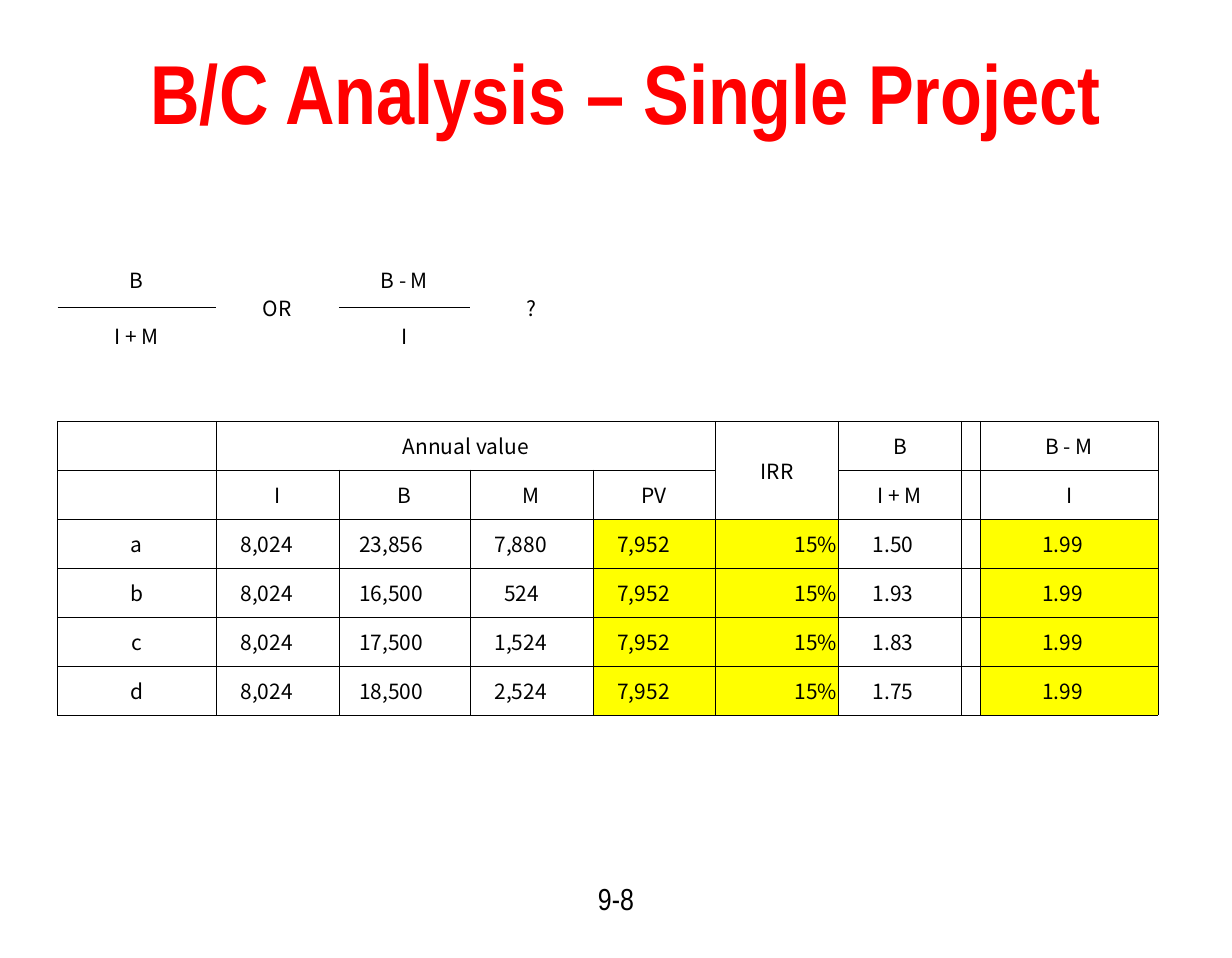
import pptx
import pptx.util
import pptx.dml.color
import pptx.enum.text
import pptx.oxml
import pptx.oxml.ns

Inches, Pt = pptx.util.Inches, pptx.util.Pt
ALIGN = pptx.enum.text.PP_ALIGN
MIDDLE = pptx.enum.text.MSO_ANCHOR.MIDDLE

BLACK = pptx.dml.color.RGBColor(0x00, 0x00, 0x00)
RED = pptx.dml.color.RGBColor(0xFF, 0x00, 0x00)
YELLOW = pptx.dml.color.RGBColor(0xFF, 0xFF, 0x00)

TITLE_FONT = "Arial Narrow"
TABLE_FONT = "Noto Sans CJK KR"

COLUMNS = [1.16, 0.9, 0.96, 0.9, 0.9, 0.9, 0.9, 0.14, 1.3]
ROWS = [
    # The two ratios in question
    ["B", "OR", "B - M", "?", "", "", "", "", ""],
    ["I + M", "", "I", "", "", "", "", "", ""],
    [""] * 9,
    # Headings
    ["", "Annual value", "", "", "", "IRR", "B", "", "B - M"],
    ["", "I", "B", "M", "PV", "", "I + M", "", "I"],
    # Projects
    ["a", "8,024", "23,856", "7,880", "7,952", "15%", "1.50", "", "1.99"],
    ["b", "8,024", "16,500", "524", "7,952", "15%", "1.93", "", "1.99"],
    ["c", "8,024", "17,500", "1,524", "7,952", "15%", "1.83", "", "1.99"],
    ["d", "8,024", "18,500", "2,524", "7,952", "15%", "1.75", "", "1.99"],
    [""] * 9,
]
MERGES = [((0, 1), (1, 1)), ((0, 3), (1, 3)), ((3, 1), (3, 4)), ((3, 5), (4, 5))]
GRID_TOP, FIRST_PROJECT, GRID_END = 3, 5, 9
ROW_SHARES = [1.16] * GRID_TOP + [1] * (GRID_END - GRID_TOP) + [1.16]
FRACTION_COLUMNS = (0, 2)
PERCENT_COLUMN = 5
YELLOW_COLUMNS = (4, 5, 8)
AMOUNT_INDENT = {3: 0.24, 5: 0.17, 6: 0.14}  # by length of the amount
RATIO_INDENT = {6: 0.24, 8: 0.44}  # by column


def add_run(p, text, font, size, color, bold=False):
    r = p.add_run()
    r.text = text
    r.font.name = font
    r.font.size = Pt(size)
    r.font.bold = bold
    r.font.color.rgb = color


def add_line_of_text(s, box, text, size, color, bold=False, anchor=None):
    tf = s.shapes.add_textbox(*map(Inches, box)).text_frame
    tf.word_wrap = True
    tf.margin_left = tf.margin_right = Inches(0.09)
    tf.vertical_anchor = anchor
    p = tf.paragraphs[0]
    p.alignment = ALIGN.CENTER
    add_run(p, text, TITLE_FONT, size, color, bold)


def cell_sides(row, col):
    """Sides of a cell that carry a line."""
    if GRID_TOP <= row < GRID_END:
        return "LRTB"
    if row == GRID_TOP - 1 or (row == 0 and col in FRACTION_COLUMNS):
        return "B"
    if row == GRID_END or (row == 1 and col in FRACTION_COLUMNS):
        return "T"
    return ""


def set_borders(cell, sides):
    tcPr = cell._tc.get_or_add_tcPr()
    ns = pptx.oxml.ns.nsdecls("a")
    for side in "LRTB":
        fill = "<a:noFill/>"
        if side in sides:
            fill = f'<a:solidFill><a:srgbClr val="{BLACK}"/></a:solidFill>'
        tcPr.append(pptx.oxml.parse_xml(
            f'<a:ln{side} {ns} w="{Pt(0.23)}">{fill}</a:ln{side}>'))


def align_cell(p, row, col, text):
    if row < FIRST_PROJECT or col == 0:
        p.alignment = ALIGN.CENTER
    elif col == PERCENT_COLUMN:
        p.alignment = ALIGN.RIGHT
    else:
        p.alignment = ALIGN.LEFT
        indent = RATIO_INDENT.get(col) or AMOUNT_INDENT[len(text)]
        p._p.get_or_add_pPr().set("marL", str(Inches(indent)))


def fill_cell(cell, row, col, text):
    set_borders(cell, cell_sides(row, col))
    if FIRST_PROJECT <= row < GRID_END and col in YELLOW_COLUMNS:
        cell.fill.solid()
        cell.fill.fore_color.rgb = YELLOW
    else:
        cell.fill.background()
    cell.vertical_anchor = MIDDLE
    cell.margin_left = cell.margin_right = Inches(0.01)
    cell.margin_top = cell.margin_bottom = Inches(0.05 if text else 0)
    if text:
        p = cell.text_frame.paragraphs[0]
        align_cell(p, row, col, text)
        add_run(p, text, TABLE_FONT, 11, BLACK)


def add_ratio_table(s, box):
    frame = s.shapes.add_table(len(ROWS), len(COLUMNS), *map(Inches, box))
    table = frame.table
    table.first_row = table.horz_banding = False
    for column, width in zip(table.columns, COLUMNS):
        column.width = Inches(width * box[2] / sum(COLUMNS))
    for row, share in zip(table.rows, ROW_SHARES):
        row.height = Inches(share * box[3] / sum(ROW_SHARES))
    for i, texts in enumerate(ROWS):
        for j, text in enumerate(texts):
            fill_cell(table.cell(i, j), i, j, text)
    for first, last in MERGES:
        table.cell(*first).merge(table.cell(*last))


def main():
    prs = pptx.Presentation()
    prs.slide_width, prs.slide_height = Inches(9), Inches(7)
    s = prs.slides.add_slide(prs.slide_layouts[6])
    # Title
    add_line_of_text(s, (0.7, 0.25, 7.75, 0.83), "B/C Analysis – Single Project",
                     44, RED, True, MIDDLE)
    # Ratios and project values
    add_ratio_table(s, (0.42, 1.83, 8.04, 3.81))
    # Page number
    add_line_of_text(s, (3.9, 6.38, 1.2, 0.47), "9-8", 16, BLACK)
    prs.save("out.pptx")


if __name__ == "__main__":
    main()
